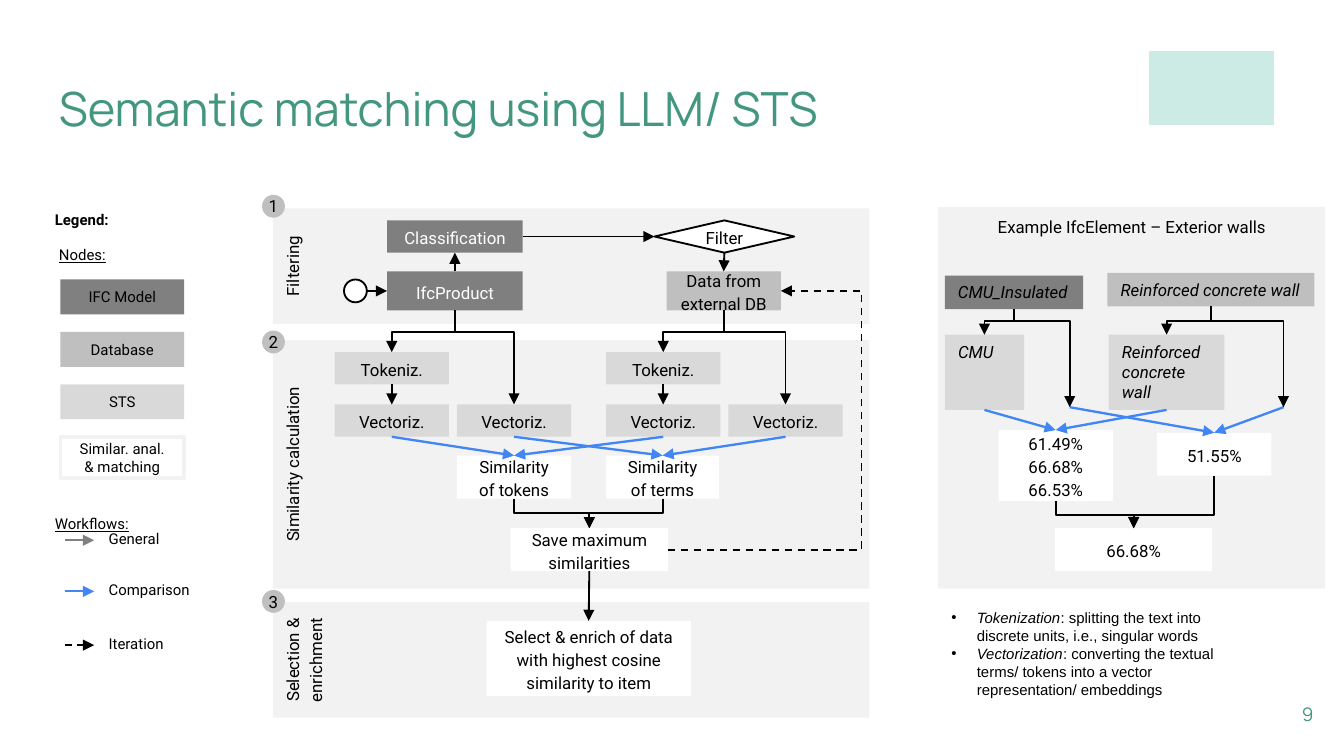
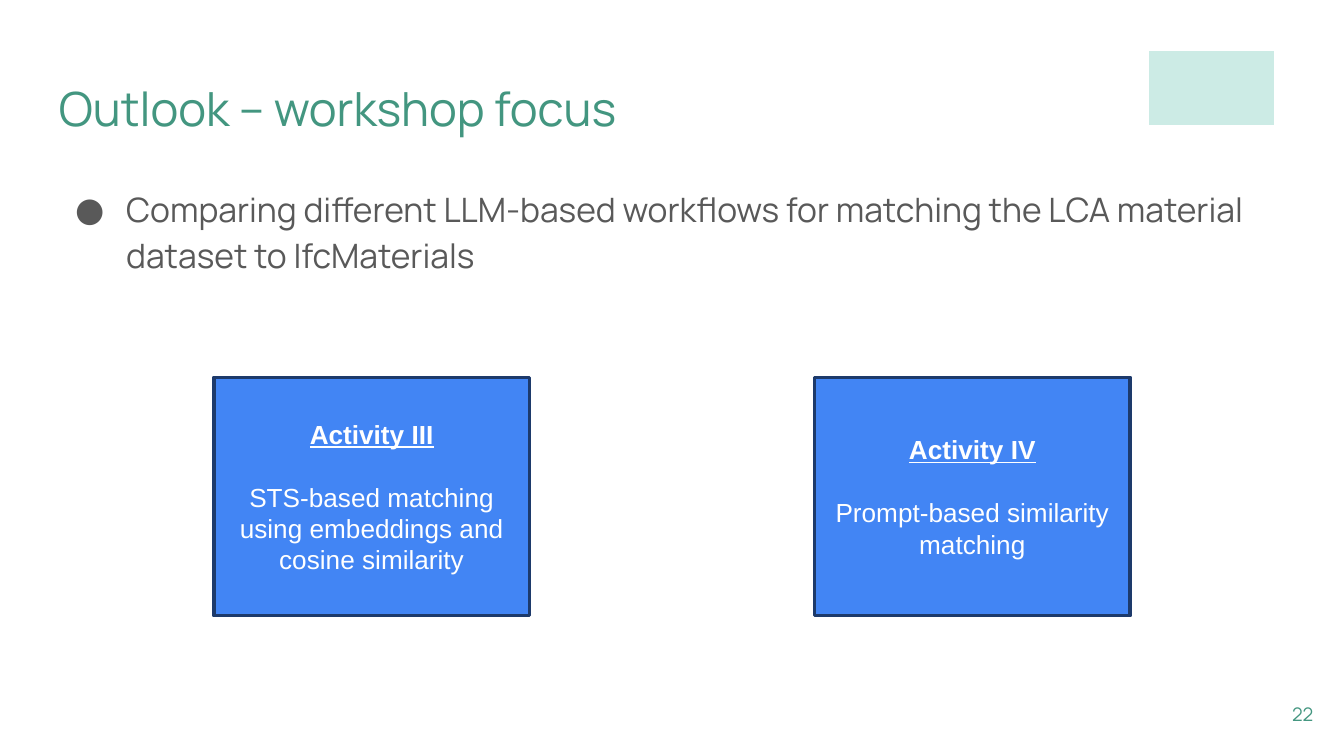
from lxml.etree import SubElement
from pptx import Presentation
from pptx.dml.color import RGBColor
from pptx.enum.dml import MSO_LINE
from pptx.enum.shapes import MSO_CONNECTOR as Wire, MSO_SHAPE as Shape
from pptx.enum.text import MSO_ANCHOR as Anchor, PP_ALIGN as Align
from pptx.oxml.ns import qn
from pptx.util import Inches, Pt

COLORS = {
    "title": "439680", "mark": "CCEBE5", "body": "595959",
    "black": "000000", "white": "FFFFFF", "band": "F2F2F2",
    "ifc": "7F7F7F", "legend_ifc": "808080", "database": "BFBFBF", "sts": "D9D9D9",
    "blue": "4285F4", "navy": "1D3A6B",
}
TOP, LEFT, BOTTOM, RIGHT = range(4)

# Matching workflow: label, top, height, top of the step number
BANDS = [
    ("Filtering", 1.55, 0.86, 1.45),
    ("Similarity calculation", 2.53, 1.85, 2.46),
    ("Selection & enrichment", 4.48, 0.86, 4.39),
]
BAND_LEFT, BAND_WIDTH = 2.03, 4.44

LEGEND_HEADS = [("Legend:", "b", 0.31, 1.52), ("Nodes:", "u", 0.34, 1.78), ("Workflows:", "u", 0.31, 3.78)]
LEGEND_NODES = [("IFC Model", "legend_ifc"), ("Database", "database"), ("STS", "sts")]
LEGEND_FLOWS = [("General", "legend_ifc", 4.02), ("Comparison", "blue", 4.4), ("Iteration", "black", 4.8)]

# name: paragraphs, fill, (left, top, width, height)
NODES = {
    "product": (["IfcProduct"], "ifc", (2.88, 2.02, 1.01, 0.29)),
    "class": (["Classification"], "ifc", (2.88, 1.64, 1.01, 0.24)),
    "data": (["Data from external DB"], "database", (4.96, 2.02, 0.85, 0.29)),
    "tokens": (["Similarity of tokens"], "white", (3.4, 3.39, 0.85, 0.32)),
    "terms": (["Similarity of terms"], "white", (4.51, 3.39, 0.84, 0.32)),
    "save": (["Save maximum similarities"], "white", (3.8, 3.93, 1.17, 0.32)),
    "select": (["Select & enrich of data with highest cosine similarity to item"],
               "white", (3.62, 4.62, 1.52, 0.56)),
    "token scores": (["61.49%", "66.68%", "66.53%"], "white", (7.43, 3.2, 0.85, 0.53)),
    "term score": (["51.55%"], "white", (8.61, 3.22, 0.85, 0.32)),
    "best score": (["66.68%"], "white", (7.85, 3.93, 1.17, 0.32)),
}
for column, left in enumerate([2.49, 3.4, 4.51, 5.42]):
    NODES[f"vector {column}"] = (["Vectoriz."], "sts", (left, 3.01, 0.85, 0.24))
    if column % 2 == 0:
        NODES[f"token {column}"] = (["Tokeniz."], "sts", (left, 2.62, 0.85, 0.24))

EXAMPLES = {
    "cmu name": (["CMU_Insulated"], "ifc", (7.03, 2.05, 1.03, 0.25)),
    "wall name": (["Reinforced concrete wall"], "database", (8.24, 2.03, 1.54, 0.25)),
    "cmu tokens": (["CMU"], "sts", (7.03, 2.49, 0.59, 0.56)),
    "wall tokens": (["Reinforced", "concrete", "wall"], "sts", (8.25, 2.49, 0.86, 0.56)),
}
CMU_TERM, WALL_TERM = (7.96, 3.03), (9.55, 3.03)

STRAIGHT = [
    (("start", RIGHT), ("product", LEFT)),
    (("product", TOP), ("class", BOTTOM)),
    (("class", RIGHT), ("filter", LEFT)),
    (("filter", BOTTOM), ("data", TOP)),
    (("token 0", BOTTOM), ("vector 0", TOP)),
    (("token 2", BOTTOM), ("vector 2", TOP)),
    (("save", BOTTOM), ("select", TOP)),
]
COMPARISONS = [
    (("vector 0", BOTTOM), ("tokens", TOP)),
    (("vector 2", BOTTOM), ("tokens", TOP)),
    (("vector 1", BOTTOM), ("terms", TOP)),
    (("vector 3", BOTTOM), ("terms", TOP)),
    (("cmu tokens", BOTTOM), ("token scores", TOP)),
    (("wall tokens", BOTTOM), ("token scores", TOP)),
    (CMU_TERM, ("term score", TOP)),
    (WALL_TERM, ("term score", TOP)),
]
# begin, end, height of the bend
ELBOWS = [
    (("product", BOTTOM), ("token 0", TOP), 2.47),
    (("product", BOTTOM), ("vector 1", TOP), 2.47),
    (("data", BOTTOM), ("token 2", TOP), 2.47),
    (("data", BOTTOM), ("vector 3", TOP), 2.47),
    (("tokens", BOTTOM), ("save", TOP), 3.82),
    (("terms", BOTTOM), ("save", TOP), 3.82),
    (("cmu name", BOTTOM), ("cmu tokens", TOP), 2.39),
    (("cmu name", BOTTOM), CMU_TERM, 2.39),
    (("wall name", BOTTOM), ("wall tokens", TOP), 2.39),
    (("wall name", BOTTOM), WALL_TERM, 2.39),
    (("token scores", BOTTOM), ("best score", TOP), 3.83),
    (("term score", BOTTOM), ("best score", TOP), 3.83),
]
ITERATION_X = 6.41

DEFINITIONS = [
    [("Tokenization", "i"), (": splitting the text into discrete units, i.e., singular words", "")],
    [("Vectorization", "i"),
     (": converting the textual terms/ tokens into a vector representation/ embeddings", "")],
]
OUTLOOK = "Comparing different LLM-based workflows for matching the LCA material dataset to IfcMaterials"
ACTIVITIES = [
    ("Activity III", "STS-based matching using embeddings and cosine similarity", 1.59),
    ("Activity IV", "Prompt-based similarity matching", 6.06),
]


def color(name):
    return RGBColor.from_string(COLORS[name])


def write(shape, paragraphs, size=9, font="Roboto", ink="black", align=Align.LEFT,
          anchor=Anchor.TOP, spacing=None, gap=0, inset=None, bullet=None):
    """Fill a shape with paragraphs, each a string or a list of (text, flags from b, i, u).

    A bullet is (symbol, font, text indent, hanging indent)."""
    frame = shape.text_frame
    frame.word_wrap = True
    frame.vertical_anchor = anchor
    if inset is not None:
        frame.margin_left = frame.margin_right = Inches(inset)
        frame.margin_top = frame.margin_bottom = Inches(inset)
    for index, spans in enumerate(paragraphs):
        para = frame.add_paragraph() if index else frame.paragraphs[0]
        if bullet:
            symbol, face, indent, hanging = bullet
            props = para._p.get_or_add_pPr()
            props.set("marL", str(Inches(indent)))
            props.set("indent", str(-Inches(hanging)))
            SubElement(SubElement(props, qn("a:buClr")), qn("a:srgbClr"), val=COLORS[ink])
            SubElement(props, qn("a:buFont"), typeface=face)
            SubElement(props, qn("a:buChar"), char=symbol)
        para.alignment = align
        if spacing:
            para.line_spacing = spacing
        if index and gap:
            para.space_before = Pt(gap)
        for text, flags in [(spans, "")] if isinstance(spans, str) else spans:
            span = para.add_run()
            span.text = text
            span.font.size, span.font.name = Pt(size), font
            span.font.color.rgb = color(ink)
            span.font.bold, span.font.italic = "b" in flags, "i" in flags
            span.font.underline = "u" in flags


def add_text(page, place, paragraphs, **style):
    box = page.shapes.add_textbox(*map(Inches, place))
    write(box, paragraphs, **style)


def add_box(page, place, fill, kind=Shape.RECTANGLE, line=None, weight=1):
    box = page.shapes.add_shape(kind, *map(Inches, place))
    box.shadow.inherit = False
    box.fill.solid()
    box.fill.fore_color.rgb = color(fill)
    if line:
        box.line.color.rgb = color(line)
        box.line.width = Pt(weight)
    else:
        box.line.fill.background()
    return box


def add_label_box(page, place, fill, paragraphs, kind=Shape.RECTANGLE, line=None, weight=1, **style):
    box = add_box(page, place, fill, kind, line, weight)
    write(box, paragraphs, **{"align": Align.CENTER, "anchor": Anchor.MIDDLE, **style})
    return box


def point(boxes, end):
    """Inches of an end given as (box name, side) or as a plain (x, y)."""
    if not isinstance(end[0], str):
        return end
    box, side = boxes[end[0]], end[1]
    x = box.left + box.width * {LEFT: 0, RIGHT: 1}.get(side, 0.5)
    y = box.top + box.height * {TOP: 0, BOTTOM: 1}.get(side, 0.5)
    return x / Inches(1), y / Inches(1)


def add_arrow(page, begin, end, ink="black", weight=1, dashed=False, kind=Wire.STRAIGHT):
    arrow = page.shapes.add_connector(kind, *map(Inches, (*begin, *end)))
    arrow.line.color.rgb = color(ink)
    arrow.line.width = Pt(weight)
    if dashed:
        arrow.line.dash_style = MSO_LINE.DASH
    props = arrow._element.spPr
    SubElement(props.find(qn("a:ln")), qn("a:tailEnd"), type="triangle")
    SubElement(props, qn("a:effectLst"))
    return arrow


def join(page, boxes, begin, end, **style):
    """Straight arrow, attached wherever it ends at a box; the start circle has other sites."""
    arrow = add_arrow(page, point(boxes, begin), point(boxes, end), **style)
    for target, connect in ((begin, arrow.begin_connect), (end, arrow.end_connect)):
        if isinstance(target[0], str) and target[0] != "start":
            connect(boxes[target[0]], target[1])


def set_bend(arrow, share):
    guides = arrow._element.spPr.find(qn("a:prstGeom")).get_or_add_avLst()
    SubElement(guides, qn("a:gd"), name="adj1", fmla=f"val {round(share * 100000)}")


def add_down_elbow(page, begin, end, bend):
    """Elbow that leaves and arrives vertically: a sideways one turned by a quarter."""
    (x1, y1), (x2, y2) = begin, end
    middle_x, middle_y = (x1 + x2) / 2, (y1 + y2) / 2
    half_drop, half_run = (y2 - y1) / 2, abs(x2 - x1) / 2
    turn = 1 if x2 < x1 else -1
    arrow = add_arrow(page, (middle_x - turn * half_drop, middle_y - half_run),
                      (middle_x + turn * half_drop, middle_y + half_run), kind=Wire.ELBOW)
    arrow._element.spPr.find(qn("a:xfrm")).set("rot", str(turn % 4 * 90 * 60000))
    set_bend(arrow, (bend - y1) / (y2 - y1))


def add_page(deck, title, number):
    page = deck.slides.add_slide(deck.slide_layouts[6])
    add_box(page, (8.55, 0.38, 0.93, 0.55), "mark")
    add_text(page, (0.34, 0.49, 8.07, 0.63), [title], size=25.2, font="Manrope", ink="title", inset=0.1)
    add_text(page, (9.27, 5.1, 0.6, 0.43), [number], size=10, font="Manrope", ink="title",
             align=Align.RIGHT, anchor=Anchor.MIDDLE, inset=0.1)
    return page


def draw_legend(page):
    for text, flag, left, top in LEGEND_HEADS:
        add_text(page, (left, top, 1.3, 0.24), [[(text, flag)]], size=8)
    for row, (text, fill) in enumerate(LEGEND_NODES):
        add_label_box(page, (0.45, 2.08 + 0.39 * row, 0.92, 0.26), fill, [text], size=8)
    add_label_box(page, (0.45, 3.25, 0.92, 0.31), "white", ["Similar. anal. & matching"],
                  line="band", weight=2, size=8)
    for text, ink, y in LEGEND_FLOWS:
        add_arrow(page, (0.48, y), (0.7, y), ink, dashed=text == "Iteration")
        add_text(page, (0.71, y - 0.13, 0.83, 0.24), [text], size=8)


def draw_bands(page):
    for number, (text, top, height, number_top) in enumerate(BANDS, 1):
        shift = (BAND_WIDTH - height) / 2
        band = add_label_box(page, (BAND_LEFT + shift, top - shift, height, BAND_WIDTH), "band",
                             [text], anchor=Anchor.TOP, spacing=1.14)
        band.rotation = 270
        add_label_box(page, (1.95, number_top, 0.17, 0.17), "database", [str(number)],
                      kind=Shape.OVAL, inset=0)


def draw_workflow(page):
    boxes = {
        "start": add_box(page, (2.56, 2.08, 0.17, 0.17), "white", Shape.OVAL, "black"),
        "filter": add_label_box(page, (4.87, 1.64, 1.04, 0.24), "white", ["Filter"],
                                kind=Shape.FLOWCHART_DECISION, line="black", spacing=1.14),
    }
    for name, (text, fill, place) in NODES.items():
        boxes[name] = add_label_box(page, place, fill, text, spacing=1.14,
                                    ink="white" if fill == "ifc" else "black")
    for name, (lines, fill, place) in EXAMPLES.items():
        boxes[name] = add_label_box(page, place, fill, [[(line, "i")] for line in lines],
                                    align=Align.LEFT, anchor=Anchor.TOP)

    for begin, end in STRAIGHT:
        join(page, boxes, begin, end)
    for begin, end in COMPARISONS:
        join(page, boxes, begin, end, ink="blue", weight=1.25)
    for begin, end, bend in ELBOWS:
        add_down_elbow(page, point(boxes, begin), point(boxes, end), bend)
    begin, end = point(boxes, ("save", RIGHT)), point(boxes, ("data", RIGHT))
    iteration = add_arrow(page, begin, end, dashed=True, kind=Wire.ELBOW)
    set_bend(iteration, (ITERATION_X - begin[0]) / (end[0] - begin[0]))


def build_matching(deck):
    page = add_page(deck, "Semantic matching using LLM/ STS", "9")
    add_label_box(page, (6.98, 1.54, 2.88, 2.84), "band", ["Example IfcElement – Exterior walls"],
                  anchor=Anchor.TOP, spacing=1.14)
    draw_legend(page)
    draw_bands(page)
    draw_workflow(page)
    add_text(page, (6.98, 4.48, 2.26, 0.77), DEFINITIONS, size=8, font="Arial",
             bullet=("•", "Arial", 0.19, 0.19))


def build_outlook(deck):
    page = add_page(deck, "Outlook – workshop focus", "22")
    add_text(page, (0.34, 1.26, 9.32, 3.74), [OUTLOOK], size=18, font="Manrope", ink="body",
             spacing=1.15, inset=0.1, bullet=("●", "Manrope", 0.5, 0.38))
    for name, text, left in ACTIVITIES:
        add_label_box(page, (left, 2.81, 2.35, 1.77), "blue", [[(name, "bu")], text], line="navy",
                      weight=2, size=14, font="Arial", ink="white", gap=17)


def main():
    deck = Presentation()
    deck.slide_width = Inches(10)
    deck.slide_height = deck.slide_width * 9 // 16
    build_matching(deck)
    build_outlook(deck)
    deck.save("out.pptx")


if __name__ == "__main__":
    main()
